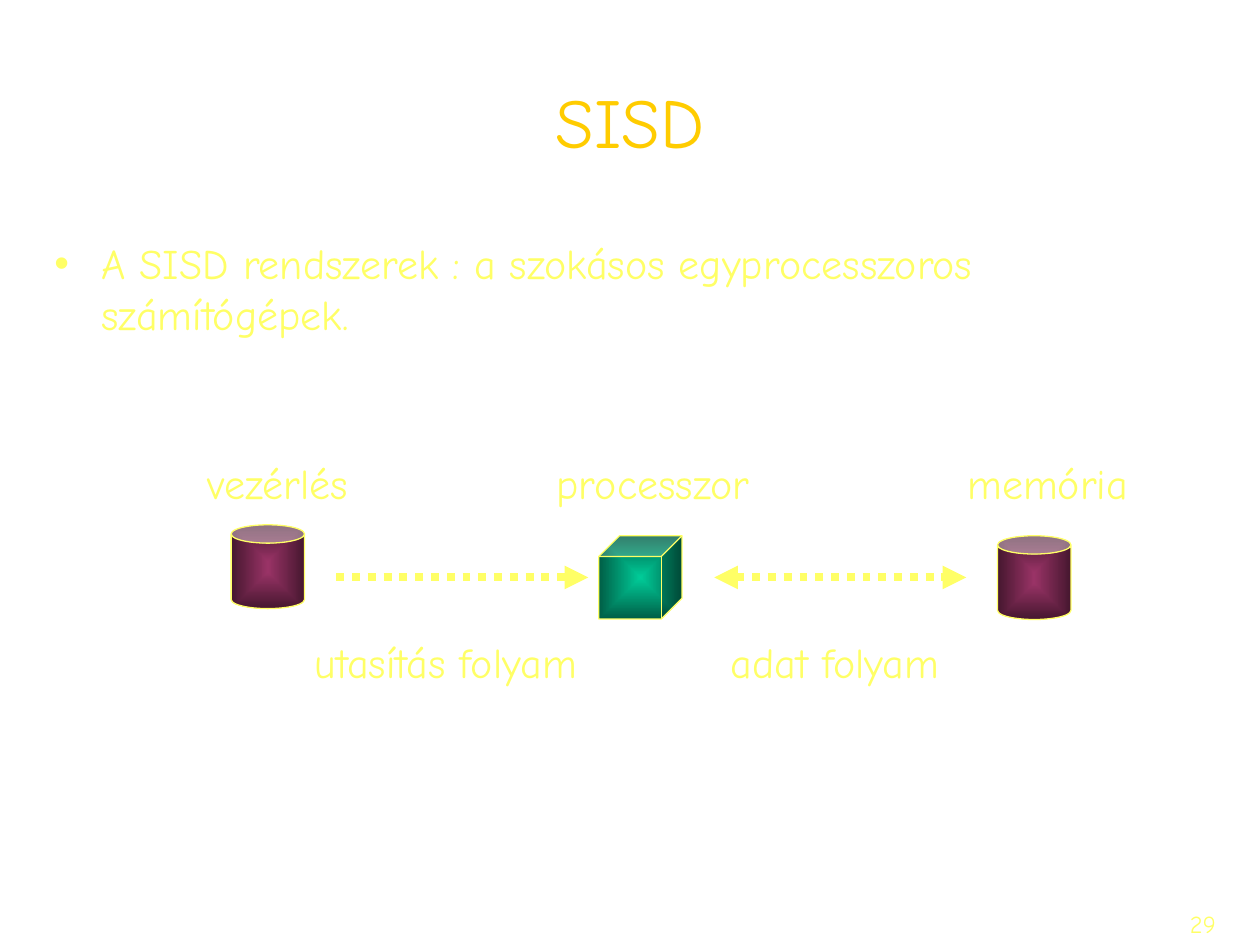
from lxml.etree import SubElement
from pptx import Presentation
from pptx.dml.color import RGBColor
from pptx.enum.dml import MSO_LINE
from pptx.enum.shapes import MSO_CONNECTOR, MSO_SHAPE
from pptx.enum.text import MSO_ANCHOR, MSO_AUTO_SIZE, PP_ALIGN
from pptx.oxml.ns import qn
from pptx.util import Cm, Pt

GOLD = RGBColor(0xFF, 0xCC, 0x00)
YELLOW = RGBColor(0xFF, 0xFF, 0x66)
GREEN = RGBColor(0x00, 0xCC, 0x99)
DARK_GREEN = RGBColor(0x00, 0x5E, 0x46)
PLUM = RGBColor(0x99, 0x33, 0x66)
DARK_PLUM = RGBColor(0x46, 0x17, 0x2F)


class DiagramSlide:
    font_name = "Comic Neue"

    def __init__(self, presentation):
        self.slide = presentation.slides.add_slide(presentation.slide_layouts[1])
        self.diagram = None

    def format_text(self, paragraph, size, color=YELLOW, align=PP_ALIGN.LEFT):
        paragraph.alignment = align
        paragraph.font.name = self.font_name
        paragraph.font.size = Pt(size)
        paragraph.font.color.rgb = color

    def fill_placeholder(self, shape, text, left, top, width, height):
        shape.left, shape.top = Cm(left), Cm(top)
        shape.width, shape.height = Cm(width), Cm(height)
        shape.text_frame.text = text
        shape.text_frame.auto_size = MSO_AUTO_SIZE.NONE
        return shape.text_frame

    def title(self, text, *box):
        frame = self.fill_placeholder(self.slide.shapes.title, text, *box)
        frame.vertical_anchor = MSO_ANCHOR.MIDDLE
        self.format_text(frame.paragraphs[0], 40, GOLD, PP_ALIGN.CENTER)

    def bullet(self, text, *box):
        frame = self.fill_placeholder(self.slide.placeholders[1], text, *box)
        frame.vertical_anchor = MSO_ANCHOR.TOP
        paragraph = frame.paragraphs[0]
        properties = paragraph._p.get_or_add_pPr()
        properties.set("marL", str(Cm(0.95)))
        properties.set("indent", str(Cm(-0.95)))
        bullet_color = SubElement(properties, qn("a:buClr"))
        SubElement(bullet_color, qn("a:srgbClr"), val=str(YELLOW))
        SubElement(properties, qn("a:buChar"), char="•")
        paragraph.space_before = Pt(0)
        self.format_text(paragraph, 24)

    def start_diagram(self):
        self.diagram = self.slide.shapes.add_group_shape().shapes

    def solid(self, kind, inner, outer, left, top, width, height):
        shape = self.diagram.add_shape(
            kind, Cm(left), Cm(top), Cm(width), Cm(height))
        shape.shadow.inherit = False
        shape.adjustments[0] = 0.25
        shape.line.color.rgb = YELLOW
        shape.line.width = Pt(0.75)
        # Gradient that spreads from the centre to the edges
        shape.fill.gradient()
        for stop, color in zip(shape.fill.gradient_stops, (inner, outer)):
            stop.color.rgb = color
        gradient = shape._element.spPr.find(qn("a:gradFill"))
        gradient.remove(gradient.find(qn("a:lin")))
        spread = SubElement(gradient, qn("a:path"), {"path": "rect"})
        SubElement(spread, qn("a:fillToRect"),
                   {side: "50000" for side in "ltrb"})

    def label(self, text, left, top, width):
        box = self.diagram.add_textbox(Cm(left), Cm(top), Cm(width), Cm(1.27))
        frame = box.text_frame
        frame.word_wrap = False
        frame.auto_size = MSO_AUTO_SIZE.SHAPE_TO_FIT_TEXT
        frame.text = text
        self.format_text(frame.paragraphs[0], 24)

    def flow(self, start, end, top, *arrow_ends):
        connector = self.diagram.add_connector(
            MSO_CONNECTOR.STRAIGHT, Cm(start), Cm(top), Cm(end), Cm(top))
        connector.line.color.rgb = YELLOW
        connector.line.width = Pt(4.5)
        connector.line.dash_style = MSO_LINE.ROUND_DOT
        properties = connector._element.spPr
        for arrow_end in arrow_ends:
            SubElement(properties.find(qn("a:ln")), qn(arrow_end), type="triangle")
        SubElement(properties, qn("a:effectLst"))

    def page_number(self, text, left, top, width, height):
        box = self.slide.shapes.add_textbox(
            Cm(left), Cm(top), Cm(width), Cm(height))
        box.text_frame.word_wrap = True
        box.text_frame.text = text
        self.format_text(box.text_frame.paragraphs[0], 14, align=PP_ALIGN.RIGHT)


def main():
    presentation = Presentation()
    presentation.slide_width, presentation.slide_height = Cm(25.4), Cm(19.05)
    page = DiagramSlide(presentation)

    # Heading and definition
    page.title("SISD", 0, 0.84, 25.4, 3.18)
    page.bullet("A SISD rendszerek : a szokásos egyprocesszoros számítógépek.",
                0.84, 4.67, 23.93, 13.54)

    # Control, processor and memory
    page.start_diagram()
    page.solid(MSO_SHAPE.CUBE, GREEN, DARK_GREEN, 12.07, 10.8, 1.68, 1.68)
    for left, top in ((4.66, 10.58), (20.11, 10.8)):
        page.solid(MSO_SHAPE.CAN, PLUM, DARK_PLUM, left, top, 1.48, 1.69)
    for text, left, width in (("vezérlés", 3.94, 3.45),
                              ("processzor", 10.97, 4.5),
                              ("memória", 19.25, 3.85)):
        page.label(text, left, 9.09, width)

    # Instruction and data streams
    page.label("utasítás folyam", 6.1, 12.7, 5.95)
    page.label("adat folyam", 14.48, 12.7, 4.8)
    page.flow(6.78, 11.86, 11.64, "a:tailEnd")
    page.flow(14.4, 19.48, 11.64, "a:headEnd", "a:tailEnd")

    page.page_number("29", 19.48, 18.21, 5.28, 0.84)
    presentation.save("out.pptx")


if __name__ == "__main__":
    main()
